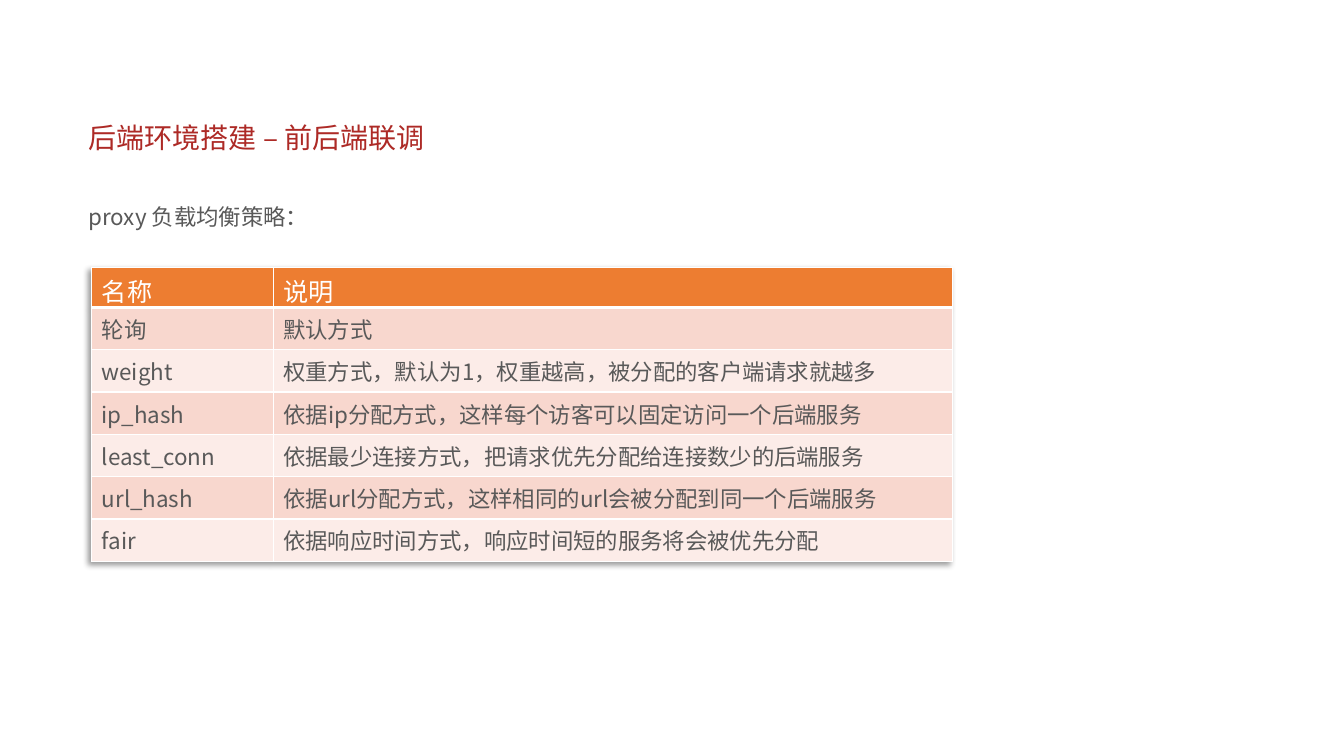
from lxml import etree
from pptx import Presentation
from pptx.dml.color import RGBColor
from pptx.enum.text import MSO_ANCHOR as Anchor
from pptx.oxml.ns import qn
from pptx.util import Emu, Pt

# Content
TITLE = "后端环境搭建 – 前后端联调"
SUBTITLE = "proxy 负载均衡策略："
HEADER = ("名称", "说明")
STRATEGIES = [
    ("轮询", "默认方式"),
    ("weight", "权重方式，默认为1，权重越高，被分配的客户端请求就越多"),
    ("ip_hash", "依据ip分配方式，这样每个访客可以固定访问一个后端服务"),
    ("least_conn", "依据最少连接方式，把请求优先分配给连接数少的后端服务"),
    ("url_hash", "依据url分配方式，这样相同的url会被分配到同一个后端服务"),
    ("fair", "依据响应时间方式，响应时间短的服务将会被优先分配"),
]

COLORS = {
    "title": "AD2A26", "text": "595959", "white": "FFFFFF",
    "header": "ED7D31", "odd": "F8D7CE", "even": "FCECE8", "shadow": "000000",
}
CJK, CJK_BODY = "Noto Sans CJK SC", "Noto Sans CJK JP"

# Layout in px, 100 px to the inch
SCALE = 9144
TITLE_BOX = (78, 110, 1170, 57)
SUBTITLE_BOX = (78, 183, 1159, 46)
TABLE_BOX = (91, 265, 854, 290)
COLUMN_WIDTHS = (180, 674)
ROW_HEIGHT = 42


def px(value):
    return Emu(value * SCALE)


def write(frame, text, *, size, color, latin=CJK, east_asian=CJK,
          spacing=None, anchor=Anchor.TOP):
    frame.word_wrap = True
    frame.vertical_anchor = anchor
    paragraph = frame.paragraphs[0]
    if spacing:
        paragraph.line_spacing = spacing
    run = paragraph.add_run()
    run.text = text
    run.font.size = Pt(size)
    run.font.name = latin
    run.font.color.rgb = RGBColor.from_string(COLORS[color])
    ea = etree.SubElement(run.font._element, qn("a:ea"))
    ea.set("typeface", east_asian)


def add_color(parent, color):
    clr = etree.SubElement(parent, qn("a:srgbClr"))
    clr.set("val", COLORS[color])
    return clr


def set_borders(cell, bottom=1):
    props = cell._tc.get_or_add_tcPr()
    widths = {"lnL": 1, "lnR": 1, "lnT": 1, "lnB": bottom}
    for position, (side, width) in enumerate(widths.items()):
        line = etree.Element(qn(f"a:{side}"), w=str(Pt(width)))
        add_color(etree.SubElement(line, qn("a:solidFill")), "white")
        props.insert(position, line)


def set_shadow(table):
    effects = etree.Element(qn("a:effectLst"))
    shadow = etree.SubElement(effects, qn("a:outerShdw"), blurRad=str(Pt(4)),
                              dist=str(Pt(3)), dir="8100000", algn="tr", rotWithShape="0")
    etree.SubElement(add_color(shadow, "shadow"), qn("a:alpha"), val="40000")
    table._tbl.tblPr.insert(0, effects)


prs = Presentation()
prs.slide_width, prs.slide_height = px(1333), px(750)
slide = prs.slides.add_slide(prs.slide_layouts[6])
shapes = slide.shapes

# Headings
title = shapes.add_textbox(*map(px, TITLE_BOX))
write(title.text_frame, TITLE, size=20, color="title", latin="Arial",
      spacing=0.9, anchor=Anchor.MIDDLE)
subtitle = shapes.add_textbox(*map(px, SUBTITLE_BOX))
write(subtitle.text_frame, SUBTITLE, size=16, color="text", latin=CJK_BODY,
      east_asian=CJK_BODY, spacing=1.5)

# Strategy table: the header takes the height the other rows leave
rows = [HEADER, *STRATEGIES]
table_frame = shapes.add_table(len(rows), len(HEADER), *map(px, TABLE_BOX))
strategies = table_frame.table
set_shadow(strategies)
for column, width in zip(strategies.columns, COLUMN_WIDTHS):
    column.width = px(width)
for r, texts in enumerate(rows):
    is_header = r == 0
    strategies.rows[r].height = px(0 if is_header else ROW_HEIGHT)
    fill = "header" if is_header else ("odd" if r % 2 else "even")
    for c, text in enumerate(texts):
        cell = strategies.cell(r, c)
        cell.fill.solid()
        cell.fill.fore_color.rgb = RGBColor.from_string(COLORS[fill])
        set_borders(cell, bottom=3 if is_header else 1)
        write(cell.text_frame, text, size=18 if is_header else 16,
              color="white" if is_header else "text")
table_frame.height = px(TABLE_BOX[3])

prs.save("out.pptx")
